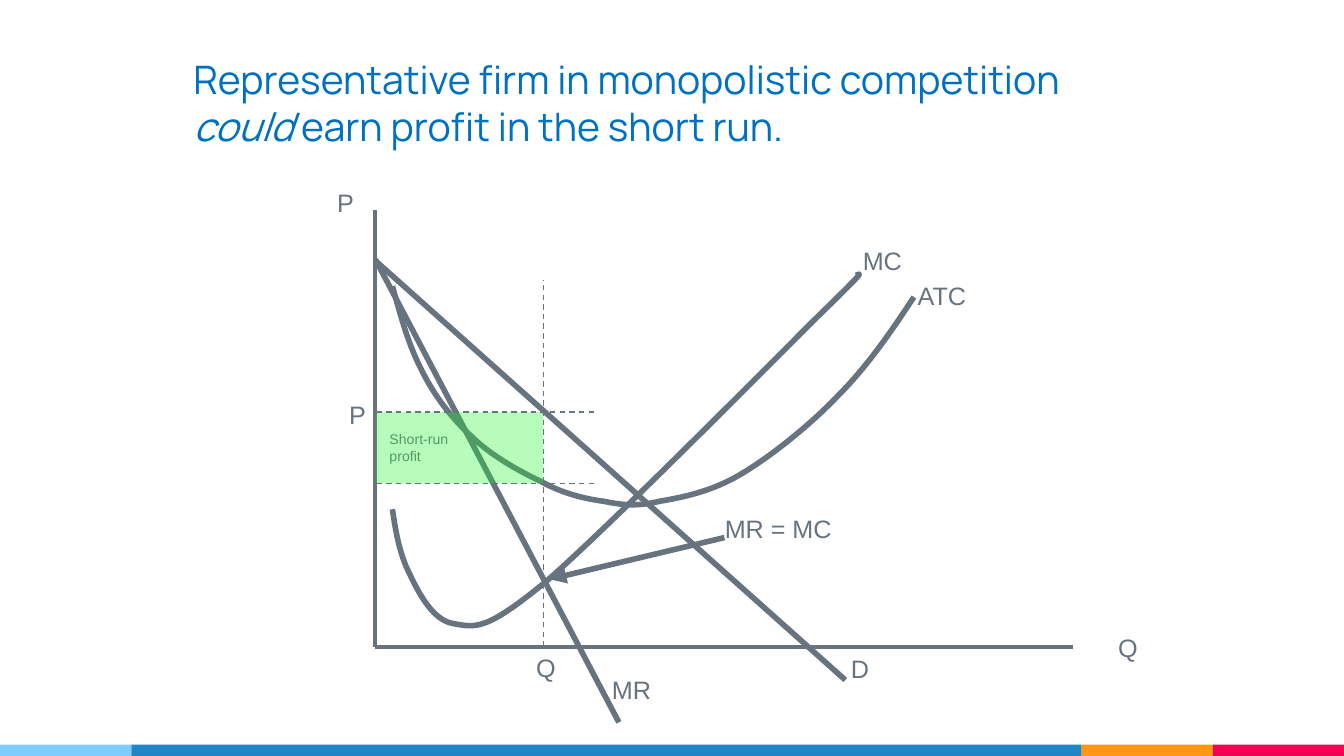
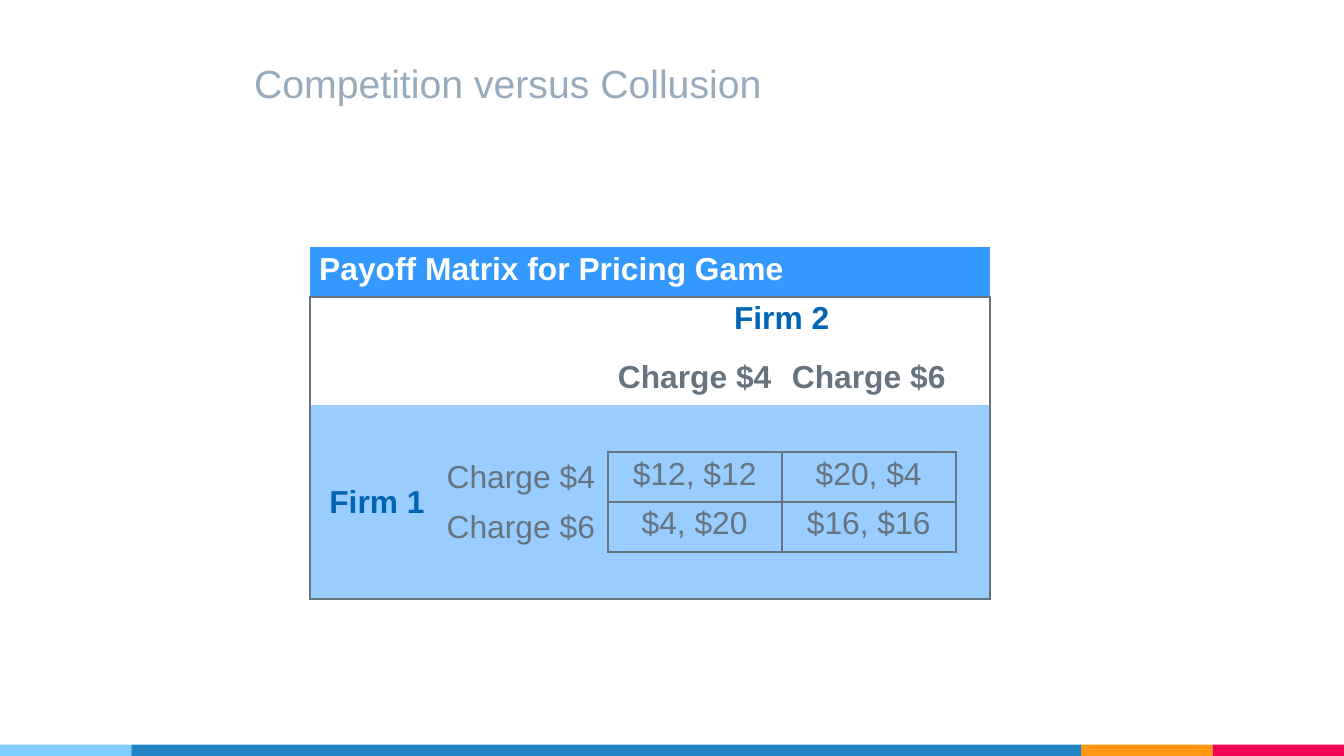
from lxml import etree
from pptx import Presentation
from pptx import util as u
from pptx.dml import color as dml_color
from pptx.enum import dml, shapes, text
from pptx.oxml import ns

UNIT = u.Inches(0.1)
COLORS = {
    "slate": "677480", "title": "0070C0", "muted": "97ABBC", "white": "FFFFFF",
    "firm": "0066B3", "header": "3399FF", "body": "99CCFF", "profit": "16F621",
    "sky": "7ECEFD", "blue": "2185C5", "orange": "FF9715", "red": "F20253",
}
BANDS = [("orange", 80.45, 9.78), ("red", 90.23, 9.77), ("sky", 0, 9.78), ("blue", 9.78, 70.67)]

ORIGIN = (27.93, 48.12)
QUANTITY = 40.44
PRICE, COST = 30.67, 35.98
AXIS_ENDS = [(27.93, 15.6), (79.8, 48.12)]
DEMAND_LINES = [((27.93, 19.4), (62.9, 50.6)), ((27.93, 19.3), (46.05, 53.75))]
LABELS = [
    ("ATC", 67.3, 20.4, 5.8), ("MC", 63.22, 17.8, 5), ("P", 24.1, 13.45, 3.3),
    ("Q", 82.2, 46.55, 3.5), ("MR", 44.55, 49.7, 5), ("D", 62.33, 48.1, 3.4),
    ("Q", 38.9, 48.05, 3.5), ("P", 25, 29.2, 3.3), ("MR = MC", 52.95, 37.7, 10.1),
]
ATC_CURVE = [
    (29.2, 21.3), (29.8, 23.5), (30.4, 25.7), (31.4, 27.6), (32.3, 29.4), (33.5, 31),
    (35, 32.4), (36.4, 33.8), (38.5, 35), (40.2, 35.8), (41.8, 36.7), (43.4, 37.1),
    (44.9, 37.3), (46.4, 37.6), (47.4, 37.7), (49.1, 37.3), (50.8, 37), (52.9, 36.6),
    (55.1, 35.3), (57.3, 34), (60.2, 31.7), (62.3, 29.5), (64.5, 27.3), (66.3, 24.7),
    (68, 22.1),
]
MC_CURVE = [
    (29.2, 37.9), (29.4, 39.2), (29.6, 40.6), (30.2, 42.1), (30.9, 43.6), (32, 46.1),
    (33.7, 46.4), (35.4, 46.7), (36.1, 47), (40.6, 43.3), (45, 39.5), (56.8, 27.6),
    (60.6, 23.8), (64.5, 20), (64.1, 20.3), (63.7, 20.5),
]

TABLE_COLUMNS = [9.25, 12.92, 12.95, 12.95, 2.53]
TABLE_ROWS = [3.7, 4.35, 3.7, 3.5, 3.72, 3.72, 3.5]
MERGES = [((0, 0), (0, 4)), ((1, 0), (2, 0)), ((1, 1), (2, 1)), ((1, 2), (1, 3)), ((4, 0), (5, 0))]
CENTER, RIGHT = text.PP_ALIGN.CENTER, text.PP_ALIGN.RIGHT
PAYOFF_CELLS = {
    (0, 0): ("Payoff Matrix for Pricing Game", dict(color="white", bold=True)),
    (1, 2): ("Firm 2", dict(color="firm", bold=True, align=CENTER)),
    (2, 2): ("Charge $4", dict(bold=True, align=CENTER)),
    (2, 3): ("Charge $6", dict(bold=True, align=CENTER)),
    (4, 0): ("Firm 1", dict(color="firm", bold=True, align=RIGHT)),
    (4, 1): ("Charge $4", dict(align=CENTER)),
    (4, 2): ("$12, $12", dict(align=CENTER)),
    (4, 3): ("$20, $4", dict(align=CENTER)),
    (5, 1): ("Charge $6", dict(align=CENTER)),
    (5, 2): ("$4, $20", dict(align=CENTER)),
    (5, 3): ("$16, $16", dict(align=CENTER)),
}


def grid(*values):
    return [u.Emu(round(value * UNIT)) for value in values]


def rgb(name):
    return dml_color.RGBColor.from_string(COLORS[name])


def write(para, words, size=13.5, color="slate", font="Arial", bold=False, italic=False, align=None):
    span = para.add_run()
    span.text = words
    span.font.size = u.Pt(size)
    span.font.name = font
    span.font.bold = bold
    span.font.italic = italic
    span.font.color.rgb = rgb(color)
    if align is not None:
        para.alignment = align


def add_text(page, area, words, wrap=False, **style):
    box = page.shapes.add_textbox(*grid(*area))
    box.text_frame.word_wrap = wrap
    box.text_frame.auto_size = text.MSO_AUTO_SIZE.SHAPE_TO_FIT_TEXT
    write(box.text_frame.paragraphs[0], words, **style)


def add_title(page, area, spans, **style):
    box = page.shapes.add_textbox(*grid(*area))
    frame = box.text_frame
    frame.word_wrap = True
    frame.vertical_anchor = text.MSO_ANCHOR.BOTTOM
    frame.margin_top = frame.margin_bottom = UNIT
    for words, italic in spans:
        write(frame.paragraphs[0], words, size=21, italic=italic, **style)


def add_block(page, area, color, opacity=None):
    block = page.shapes.add_shape(shapes.MSO_SHAPE.RECTANGLE, *grid(*area))
    block.shadow.inherit = False
    block.fill.solid()
    block.fill.fore_color.rgb = rgb(color)
    block.line.fill.background()
    if opacity is not None:
        tint = block._element.spPr.find(".//" + ns.qn("a:srgbClr"))
        etree.SubElement(tint, ns.qn("a:alpha")).set("val", str(opacity * 1000))


def add_line(page, start, end, width=3, dashed=False, arrow=False):
    line = page.shapes.add_connector(shapes.MSO_CONNECTOR.STRAIGHT, *grid(*start, *end))
    line.line.color.rgb = rgb("slate")
    line.line.width = u.Pt(width)
    if dashed:
        line.line.dash_style = dml.MSO_LINE.DASH
    if arrow:
        stroke = line._element.spPr.find(ns.qn("a:ln"))
        etree.SubElement(stroke, ns.qn("a:headEnd")).set("type", "triangle")
    etree.SubElement(line._element.spPr, ns.qn("a:effectLst"))


def bend_segments(curve):
    segments = list(curve._element.iter(ns.qn("a:lnTo")))
    outline = segments[0].getparent()
    for first in range(0, len(segments), 3):
        bend = etree.SubElement(outline, ns.qn("a:cubicBezTo"))
        for segment in segments[first:first + 3]:
            bend.append(segment[0])
            outline.remove(segment)


def add_curve(page, knots):
    builder = page.shapes.build_freeform(*grid(*knots[0]))
    builder.add_line_segments([grid(*knot) for knot in knots[1:]], close=False)
    curve = builder.convert_to_shape()
    bend_segments(curve)
    curve.shadow.inherit = False
    curve.fill.background()
    curve.line.color.rgb = rgb("slate")
    curve.line.width = u.Pt(3)


def has_rule_above(row, col):
    return row in (1, 7) or (row in (4, 5, 6) and col in (2, 3))


def has_rule_left(row, col):
    return row > 0 and (col in (0, 5) or (row in (4, 5) and col in (2, 3, 4)))


def set_borders(cell, row, col):
    sides = [("L", has_rule_left(row, col)), ("R", has_rule_left(row, col + 1)),
             ("T", has_rule_above(row, col)), ("B", has_rule_above(row + 1, col))]
    props = cell._tc.get_or_add_tcPr()
    for index, (side, ruled) in enumerate(sides):
        border = etree.Element(ns.qn("a:ln" + side), w=str(u.Pt(1)))
        fill = etree.SubElement(border, ns.qn("a:solidFill" if ruled else "a:noFill"))
        if ruled:
            etree.SubElement(fill, ns.qn("a:srgbClr")).set("val", COLORS["slate"])
        props.insert(index, border)


def fill_cell(cell, row, col):
    if row in (1, 2):
        cell.fill.background()
    else:
        cell.fill.solid()
        cell.fill.fore_color.rgb = rgb("header" if row == 0 else "body")
    cell.margin_left = cell.margin_right = u.Inches(0.07)
    cell.margin_top = cell.margin_bottom = 0
    if (row, col) in PAYOFF_CELLS:
        words, style = PAYOFF_CELLS[row, col]
        cell.margin_top = cell.margin_bottom = u.Inches(0.03)
        if row in (4, 5) and col < 2:
            cell.vertical_anchor = text.MSO_ANCHOR.MIDDLE
        write(cell.text_frame.paragraphs[0], words, size=17, **style)
    set_borders(cell, row, col)


def add_payoff_table(page, left, top):
    area = grid(left, top, sum(TABLE_COLUMNS), sum(TABLE_ROWS))
    table = page.shapes.add_table(len(TABLE_ROWS), len(TABLE_COLUMNS), *area).table
    table.first_row = table.horz_banding = False
    for column, width in zip(table.columns, grid(*TABLE_COLUMNS)):
        column.width = width
    for line, height in zip(table.rows, grid(*TABLE_ROWS)):
        line.height = height
    for row in range(len(TABLE_ROWS)):
        for col in range(len(TABLE_COLUMNS)):
            fill_cell(table.cell(row, col), row, col)
    for first, last in MERGES:
        table.cell(*first).merge(table.cell(*last))


def add_page(deck):
    page = deck.slides.add_slide(deck.slide_layouts[6])
    for color, left, width in BANDS:
        add_block(page, (left, 55.4, width, 0.85), color)
    return page


def build_profit_page(deck):
    page = add_page(deck)
    add_title(page, (13.4, 2.7, 72.3, 9.4), [
        ("Representative firm in monopolistic competition ", False),
        ("could ", True),
        ("earn profit in the short run.", False),
    ], color="title", font="Manrope")
    for words, left, top, width in LABELS:
        add_text(page, (left, top, width, 3.3), words)
    add_line(page, (QUANTITY, ORIGIN[1]), (QUANTITY, 20.8), width=0.75, dashed=True)
    add_text(page, (28, 31.55, 6.6, 3.5), "Short-run profit", wrap=True, size=7.5)
    add_line(page, (40.9, 43.1), (53.9, 40), arrow=True)
    for end in AXIS_ENDS:
        add_line(page, ORIGIN, end, width=2.25)
    for start, end in DEMAND_LINES:
        add_line(page, start, end)
    for knots in (ATC_CURVE, MC_CURVE):
        add_curve(page, knots)
    add_block(page, (28, PRICE, QUANTITY - 28, COST - PRICE), "profit", opacity=30)
    for level in (PRICE, COST):
        add_line(page, (44.2, level), (ORIGIN[0], level), width=0.75, dashed=True)


def build_payoff_page(deck):
    page = add_page(deck)
    add_payoff_table(page, 23.05, 18.4)
    add_title(page, (17.92, 4.9, 63.9, 4), [("Competition versus Collusion", False)], color="muted")


def main():
    deck = Presentation()
    deck.slide_width = u.Inches(10)
    deck.slide_height = deck.slide_width * 9 // 16
    build_profit_page(deck)
    build_payoff_page(deck)
    deck.save("out.pptx")


if __name__ == "__main__":
    main()
